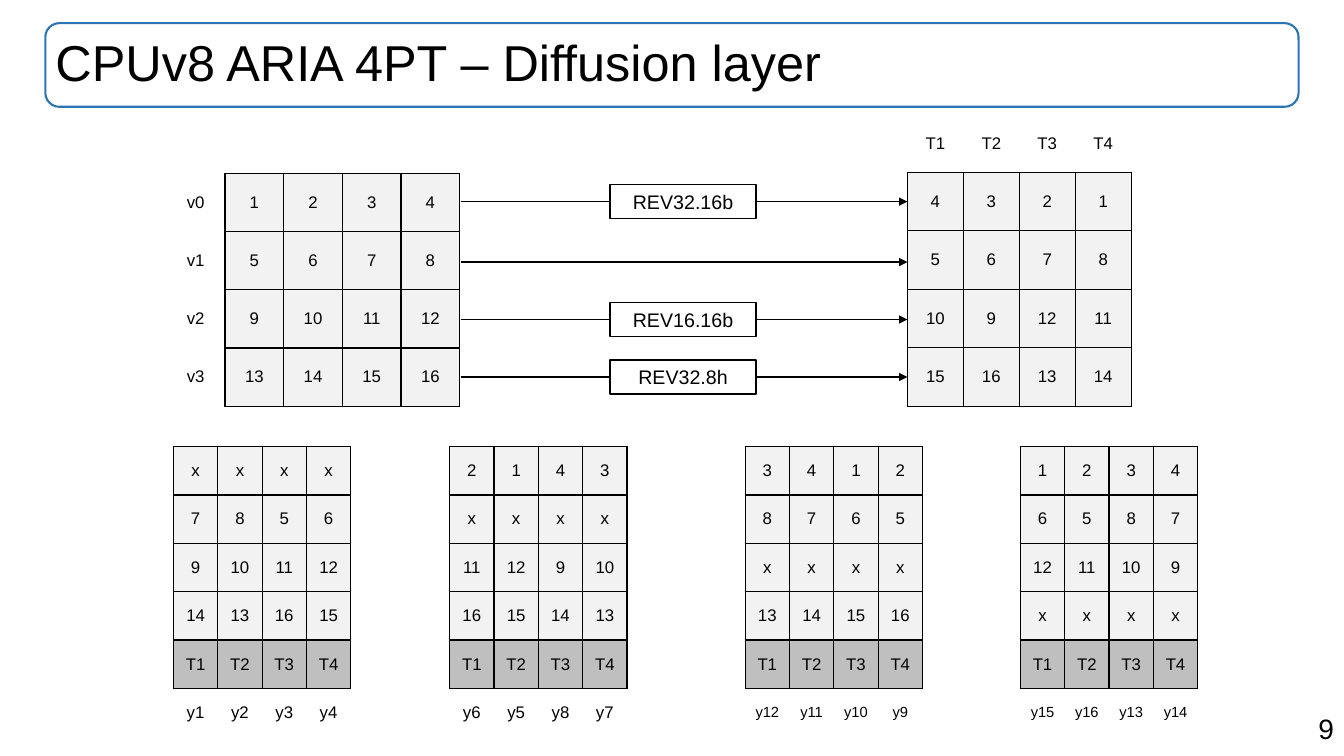
from lxml import etree
from pptx import Presentation
from pptx.dml.color import RGBColor
from pptx.enum.shapes import MSO_CONNECTOR, MSO_SHAPE
from pptx.enum.text import MSO_ANCHOR, PP_ALIGN
from pptx.oxml.ns import qn
from pptx.util import Inches, Pt

LEFT, CENTER, RIGHT = PP_ALIGN.LEFT, PP_ALIGN.CENTER, PP_ALIGN.RIGHT
MIDDLE, TOP = MSO_ANCHOR.MIDDLE, MSO_ANCHOR.TOP
STRAIGHT = MSO_CONNECTOR.STRAIGHT
RECTANGLE, ROUNDED_RECTANGLE = MSO_SHAPE.RECTANGLE, MSO_SHAPE.ROUNDED_RECTANGLE

# Content
TITLE = "CPUv8 ARIA 4PT – Diffusion layer"
PAGE_NUMBER = "9"
INPUT_ROWS = ["v0 1 2 3 4", "v1 5 6 7 8", "v2 9 10 11 12", "v3 13 14 15 16"]
OUTPUT_ROWS = ["T1 T2 T3 T4", "4 3 2 1", "5 6 7 8", "10 9 12 11", "15 16 13 14"]
ARROWS = [(2.0, "REV32.16b"), (2.6, None), (3.17, "REV16.16b"), (3.74, "REV32.8h")]
REGISTERS = "T1 T2 T3 T4"
RESULTS = [  # left, label size, rows, labels
    (1.72, "cell", ["x x x x", "7 8 5 6", "9 10 11 12", "14 13 16 15"], "y1 y2 y3 y4"),
    (4.46, "cell", ["2 1 4 3", "x x x x", "11 12 9 10", "16 15 14 13"], "y6 y5 y8 y7"),
    (7.39, "small", ["3 4 1 2", "8 7 6 5", "x x x x", "13 14 15 16"], "y12 y11 y10 y9"),
    (10.12, "small", ["1 2 3 4", "6 5 8 7", "12 11 10 9", "x x x x"], "y15 y16 y13 y14"),
]

# Theme
THEME = {
    "font": "Arial",
    "text": RGBColor(0x00, 0x00, 0x00),
    "line": RGBColor(0x00, 0x00, 0x00),
    "frame": RGBColor(0x2E, 0x75, 0xB6),
    "white": RGBColor(0xFF, 0xFF, 0xFF),
    "value": RGBColor(0xF2, 0xF2, 0xF2),
    "register": RGBColor(0xBF, 0xBF, 0xBF),
    "sizes": {"title": 36, "page": 20, "box": 14, "cell": 12, "small": 10.5},
}

# Positions in inches
TITLE_AREA = (0.45, 0.23, 12.43, 0.83)
PAGE_AREA = (9.43, 7.01, 3.9, 0.44)
INPUT_AREA = (1.65, 1.72, 2.91, 2.31)
OUTPUT_AREA = (9.0, 1.13, 2.22, 2.9)
RESULT_TOP, RESULT_WIDTH, RESULT_HEIGHT = 4.43, 1.76, 2.88
ARROW_START, ARROW_END = 4.57, 9.0
BOX_LEFT, BOX_WIDTH, BOX_HEIGHT = 6.05, 1.45, 0.34


def inches(values):
    return [Inches(value) for value in values]


def write_text(frame, text, size, alignment, anchor=MIDDLE):
    frame.text = text
    frame.vertical_anchor = anchor
    paragraph = frame.paragraphs[0]
    paragraph.alignment = alignment
    font_format = {"name": THEME["font"], "size": Pt(THEME["sizes"][size]), "bold": False}
    for name, value in font_format.items():
        setattr(paragraph.font, name, value)
    paragraph.font.color.rgb = THEME["text"]
    return paragraph


def set_borders(cell, drawn_sides):
    properties = cell._tc.get_or_add_tcPr()
    for side in "LRTB":
        border = etree.SubElement(properties, qn(f"a:ln{side}"), w=str(Pt(1)))
        if side in drawn_sides:
            fill = etree.SubElement(border, qn("a:solidFill"))
            etree.SubElement(fill, qn("a:srgbClr"), val=str(THEME["line"]))
        else:
            etree.SubElement(border, qn("a:noFill"))


def add_grid(slide, area, rows, label_edge, label_size="cell", register_row=None):
    """Draw a grid whose labels run along one edge: L, T or B."""
    values = [row.split() for row in rows]
    row_count, column_count = len(values), len(values[0])
    shape = slide.shapes.add_table(row_count, column_count, *inches(area))
    table = shape.table
    table.first_row = table.horz_banding = False
    facing = {"L": "R", "T": "B", "B": "T"}[label_edge]
    for row, texts in enumerate(values):
        for column, text in enumerate(texts):
            is_label = {"L": column == 0, "T": row == 0,
                        "B": row == row_count - 1}[label_edge]
            cell = table.cell(row, column)
            cell.margin_left = cell.margin_right = Inches(0.05)
            cell.vertical_anchor = MIDDLE
            write_text(cell.text_frame, text, label_size if is_label else "cell", CENTER)
            set_borders(cell, facing if is_label else "LRTB")
            color = "white" if is_label else "register" if row == register_row else "value"
            cell.fill.solid()
            cell.fill.fore_color.rgb = THEME[color]


def add_arrow(slide, y):
    arrow = slide.shapes.add_connector(STRAIGHT, *inches((ARROW_START, y, ARROW_END, y)))
    arrow.line.color.rgb = THEME["line"]
    arrow.line.width = Pt(1)
    etree.SubElement(arrow.line._get_or_add_ln(), qn("a:tailEnd"), type="triangle")
    etree.SubElement(arrow._element.spPr, qn("a:effectLst"))


def add_outline(slide, preset, area, color, width):
    shape = slide.shapes.add_shape(preset, *inches(area))
    shape.shadow.inherit = False
    shape.fill.solid()
    shape.fill.fore_color.rgb = THEME["white"]
    shape.line.color.rgb = THEME[color]
    shape.line.width = Pt(width)
    return shape


def main():
    presentation = Presentation()
    presentation.slide_width = Inches(13.33)
    presentation.slide_height = Inches(7.5)
    slide = presentation.slides.add_slide(presentation.slide_layouts[5])

    # Title in its rounded frame
    title = slide.shapes.title
    frame = add_outline(slide, ROUNDED_RECTANGLE, TITLE_AREA, "frame", 1.5)
    frame.fill.background()
    for name, value in zip(("left", "top", "width", "height"), inches(TITLE_AREA)):
        setattr(title, name, value)
    write_text(title.text_frame, TITLE, "title", LEFT).line_spacing = 0.9

    # Input and permuted registers
    add_grid(slide, INPUT_AREA, INPUT_ROWS, "L")
    add_grid(slide, OUTPUT_AREA, OUTPUT_ROWS, "T")

    # Instructions between them
    for y, instruction in ARROWS:
        add_arrow(slide, y)
        if instruction:
            area = (BOX_LEFT, y - BOX_HEIGHT / 2, BOX_WIDTH, BOX_HEIGHT)
            box = add_outline(slide, RECTANGLE, area, "line", 1)
            write_text(box.text_frame, instruction, "box", CENTER)

    # Result grids
    for left, label_size, rows, labels in RESULTS:
        area = (left, RESULT_TOP, RESULT_WIDTH, RESULT_HEIGHT)
        add_grid(slide, area, rows + [REGISTERS, labels], "B", label_size, len(rows))

    # Page number
    page = slide.shapes.add_textbox(*inches(PAGE_AREA))
    page.text_frame.word_wrap = True
    write_text(page.text_frame, PAGE_NUMBER, "page", RIGHT, TOP)

    presentation.save("out.pptx")


if __name__ == "__main__":
    main()
